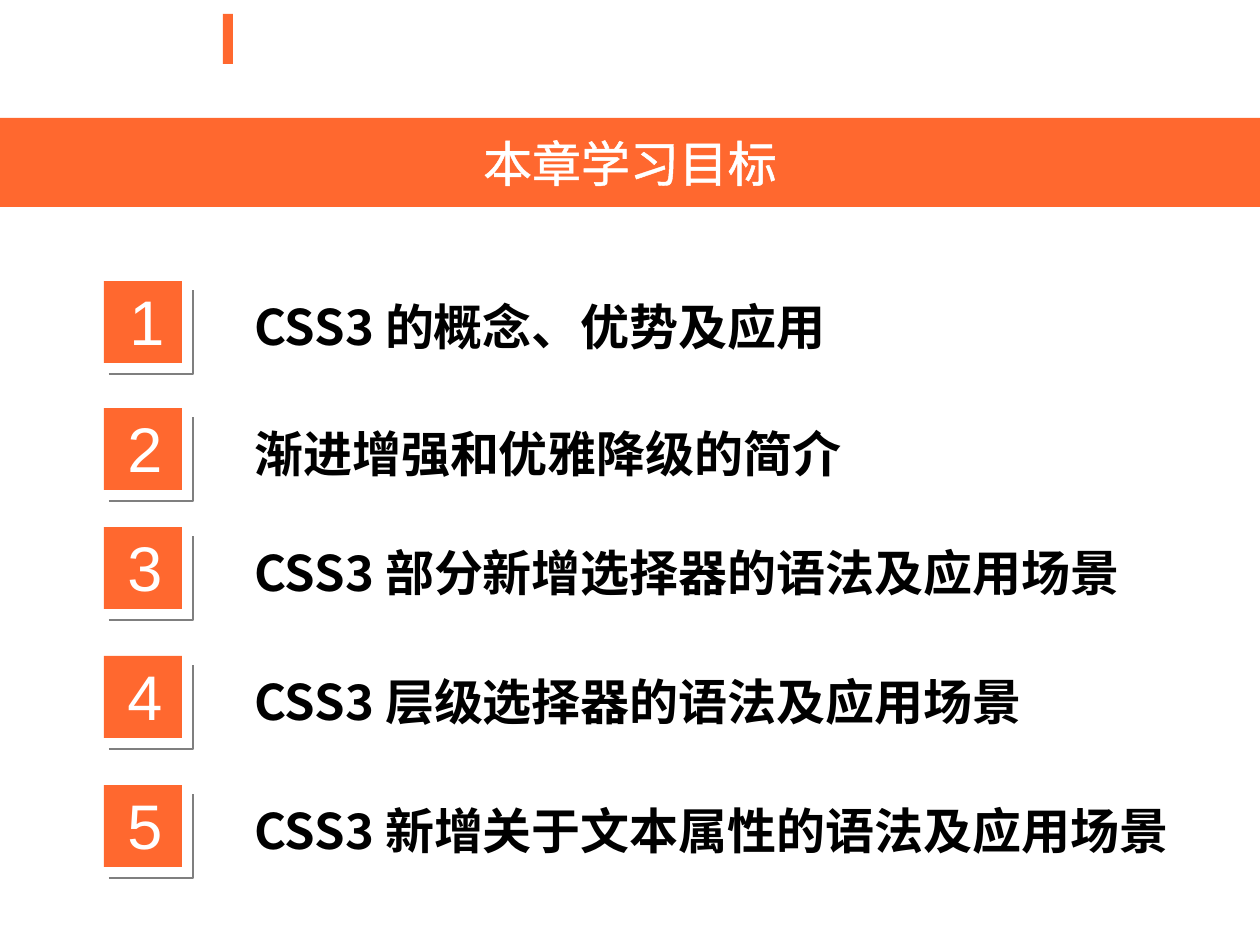
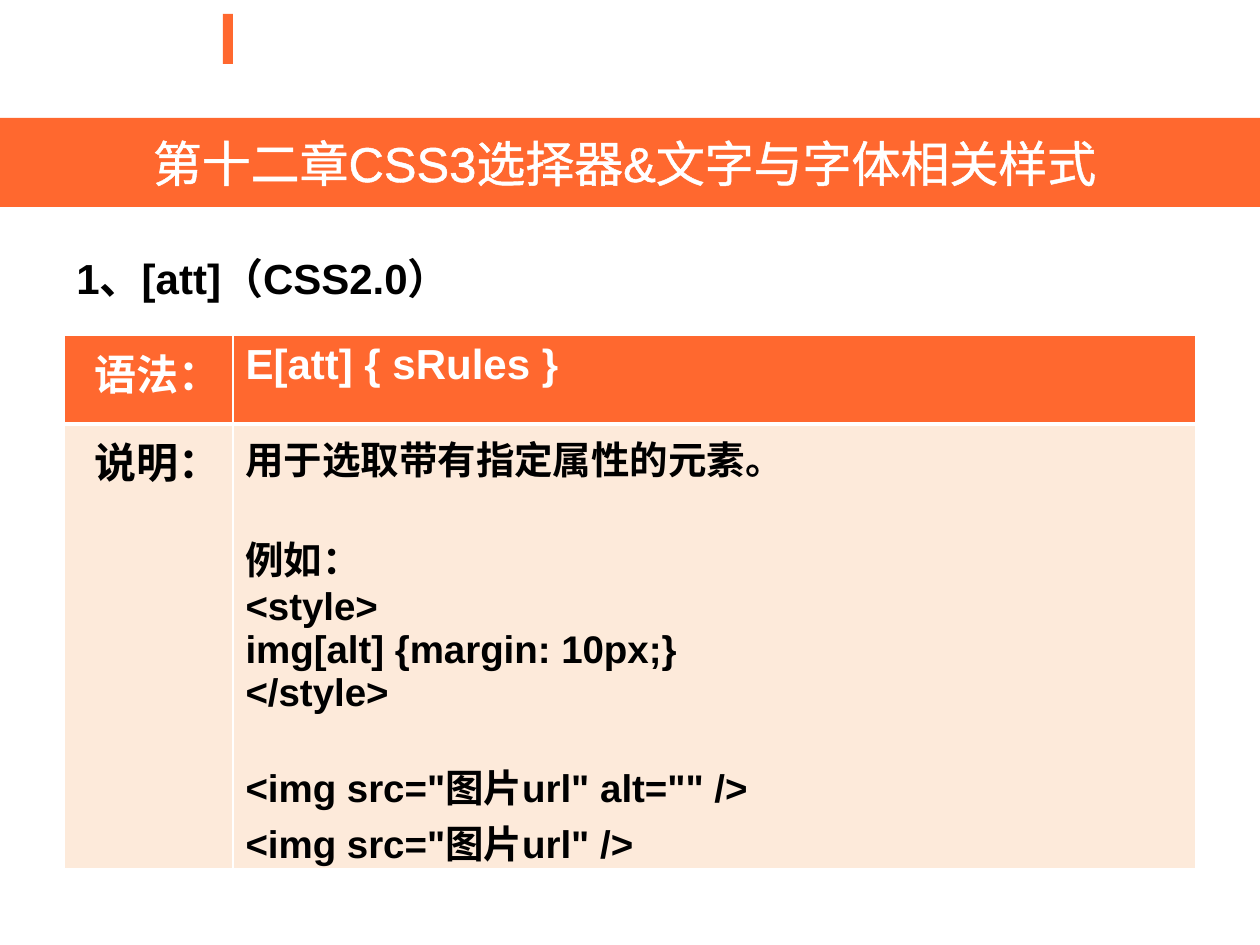
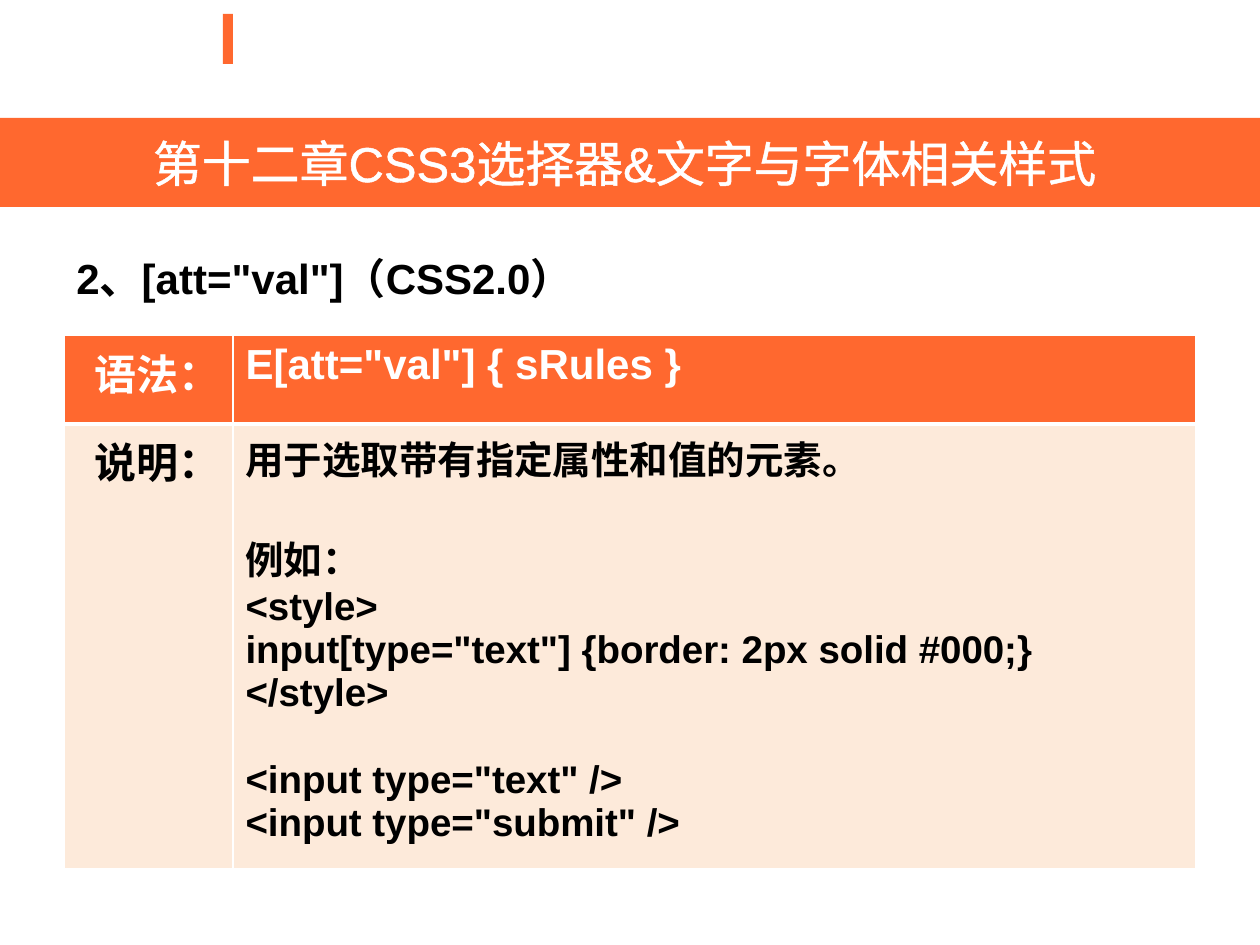
from dataclasses import dataclass

from lxml import etree
from pptx import Presentation
from pptx import util as u
from pptx.dml.color import RGBColor
from pptx.enum import shapes, text
from pptx.oxml import ns

GOALS_TITLE = "本章学习目标"
CHAPTER_TITLE = "第十二章CSS3选择器&文字与字体相关样式 "

GOALS = [
    {"top": 281, "digit_left": 117, "width": 969, "goal": "CSS3 的概念、优势及应用"},
    {"top": 408, "digit_left": 115, "width": 969, "goal": "渐进增强和优雅降级的简介"},
    {"top": 527, "digit_left": 115, "width": 915, "goal": "CSS3 部分新增选择器的语法及应用场景"},
    {"top": 656, "digit_left": 115, "width": 915, "goal": "CSS3 层级选择器的语法及应用场景"},
    {"top": 785, "digit_left": 115, "width": 979, "goal": "CSS3 新增关于文本属性的语法及应用场景"},
]

SELECTORS = [
    {
        "heading": "1、[att]（CSS2.0）",
        "syntax": "E[att] { sRules }",
        "groups": [
            ["用于选取带有指定属性的元素。"],
            ["例如：", "<style>", "img[alt] {margin: 10px;}", "</style>"],
            ['<img src="图片url" alt="" />', '<img src="图片url" />'],
        ],
    },
    {
        "heading": '2、[att="val"]（CSS2.0）',
        "syntax": 'E[att="val"] { sRules }',
        "groups": [
            ["用于选取带有指定属性和值的元素。"],
            ["例如：", "<style>", 'input[type="text"] {border: 2px solid #000;}', "</style>"],
            ['<input type="text" />', '<input type="submit" />'],
        ],
    },
]


@dataclass(frozen=True)
class Theme:
    accent: str = "FF682F"
    tint: str = "FDEADA"
    white: str = "FFFFFF"
    ink: str = "000000"
    bracket: str = "7F7F7F"
    latin: str = "Arial"
    cjk: str = "Noto Sans CJK SC"
    title: int = 28
    goal: int = 28
    digit: int = 36
    heading: int = 24
    body: int = 22
    group_gap: int = 25


THEME = Theme()
PX = u.Inches(1) / 126


def px(length):
    return u.Emu(round(length * PX))


def rgb(colour):
    return RGBColor.from_string(colour)


def add_line_fill(parent, tag, points, colour):
    line = etree.Element(ns.qn(tag), w=str(u.Pt(points)))
    fill = etree.SubElement(line, ns.qn("a:solidFill"))
    etree.SubElement(fill, ns.qn("a:srgbClr"), val=colour)
    parent.insert(0, line)


def add_span(para, words, size, colour, bold=False, font=THEME.latin):
    span = para.add_run()
    span.text = words
    span.font.size = u.Pt(size)
    span.font.bold = bold
    span.font.color.rgb = rgb(colour)
    span.font.name = font
    east_asian = etree.SubElement(span.font._element, ns.qn("a:ea"))
    east_asian.set("typeface", THEME.cjk)
    return span


def add_block(page, left, top, width, height):
    block = page.shapes.add_shape(
        shapes.MSO_SHAPE.RECTANGLE, px(left), px(top), px(width), px(height))
    block.shadow.inherit = False
    block.fill.solid()
    block.fill.fore_color.rgb = rgb(THEME.accent)
    block.line.fill.background()
    return block


def add_text(page, left, top, width, height, words, size, colour, grow=True, **style):
    box = page.shapes.add_textbox(px(left), px(top), px(width), px(height))
    frame = box.text_frame
    frame.word_wrap = True
    if grow:
        frame.auto_size = text.MSO_AUTO_SIZE.SHAPE_TO_FIT_TEXT
    para = frame.paragraphs[0]
    add_span(para, words, size, colour, **style)
    return para


def add_page(deck, title):
    page = deck.slides.add_slide(deck.slide_layouts[6])
    add_block(page, 223, 14, 10, 50)
    frame = add_block(page, 0, 118, 1260, 89).text_frame
    frame.vertical_anchor = text.MSO_ANCHOR.MIDDLE
    para = frame.paragraphs[0]
    para.alignment = text.PP_ALIGN.CENTER
    span = add_span(para, title, THEME.title, THEME.white)
    add_line_fill(span.font._element, "a:ln", 1.45, THEME.white)
    return page


def add_bracket(page, left, top, side):
    right, bottom = left + side, top + side
    builder = page.shapes.build_freeform(px(left), px(bottom))
    builder.add_line_segments(
        [(px(right), px(bottom)), (px(right), px(top))], close=False)
    bracket = builder.convert_to_shape()
    bracket.shadow.inherit = False
    bracket.fill.background()
    bracket.line.color.rgb = rgb(THEME.bracket)
    bracket.line.width = u.Pt(1)


def add_goals(deck):
    page = add_page(deck, GOALS_TITLE)
    for number, item in enumerate(GOALS, 1):
        top = item["top"]
        add_block(page, 104, top, 78, 82)
        add_text(page, item["digit_left"], top - 5, 64, 89, str(number),
                 THEME.digit, THEME.white)
        add_bracket(page, 109, top + 9, 84)
        add_text(page, 242, top + 9, item["width"], 72, item["goal"],
                 THEME.goal, THEME.ink, bold=True, font=THEME.cjk)


def style_cell(cell, fill, top, bottom):
    borders = {"a:lnB": bottom, "a:lnT": top, "a:lnR": 1, "a:lnL": 1}
    for tag, points in borders.items():
        add_line_fill(cell._tc.get_or_add_tcPr(), tag, points, THEME.white)
    cell.fill.solid()
    cell.fill.fore_color.rgb = rgb(fill)


def fill_cell(cell, groups, size, colour, align):
    lines = [(line, group_index > 0 and line_index == 0)
             for group_index, group in enumerate(groups)
             for line_index, line in enumerate(group)]
    frame = cell.text_frame
    for index, (line, opens_group) in enumerate(lines):
        para = frame.add_paragraph() if index else frame.paragraphs[0]
        para.alignment = align
        if opens_group:
            para.space_before = u.Pt(THEME.group_gap)
        add_span(para, line, size, colour, bold=True)


def add_selector(deck, selector):
    page = add_page(deck, CHAPTER_TITLE)
    heading = add_text(page, 64, 246, 1134, 595, selector["heading"],
                       THEME.heading, THEME.ink, grow=False, bold=True)
    heading.space_before = u.Pt(6)

    table = page.shapes.add_table(2, 2, px(64), px(335), px(1132), px(534)).table
    table.horz_banding = False
    for column, width in zip(table.columns, (169, 963)):
        column.width = px(width)
    for row, height in zip(table.rows, (89, 445)):
        row.height = px(height)

    rows = [
        ("语法：", [[selector["syntax"]]], THEME.heading, THEME.white, THEME.accent, 1, 3),
        ("说明：", selector["groups"], THEME.body, THEME.ink, THEME.tint, 3, 1),
    ]
    for row, (label, groups, size, colour, fill, top, bottom) in enumerate(rows):
        label_cell, detail_cell = table.cell(row, 0), table.cell(row, 1)
        for cell in (label_cell, detail_cell):
            style_cell(cell, fill, top, bottom)
        fill_cell(label_cell, [[label]], THEME.heading, colour, text.PP_ALIGN.RIGHT)
        fill_cell(detail_cell, groups, size, colour, text.PP_ALIGN.LEFT)


def main():
    deck = Presentation()
    deck.slide_width, deck.slide_height = px(1260), px(945)
    add_goals(deck)
    for selector in SELECTORS:
        add_selector(deck, selector)
    deck.save("out.pptx")


if __name__ == "__main__":
    main()
